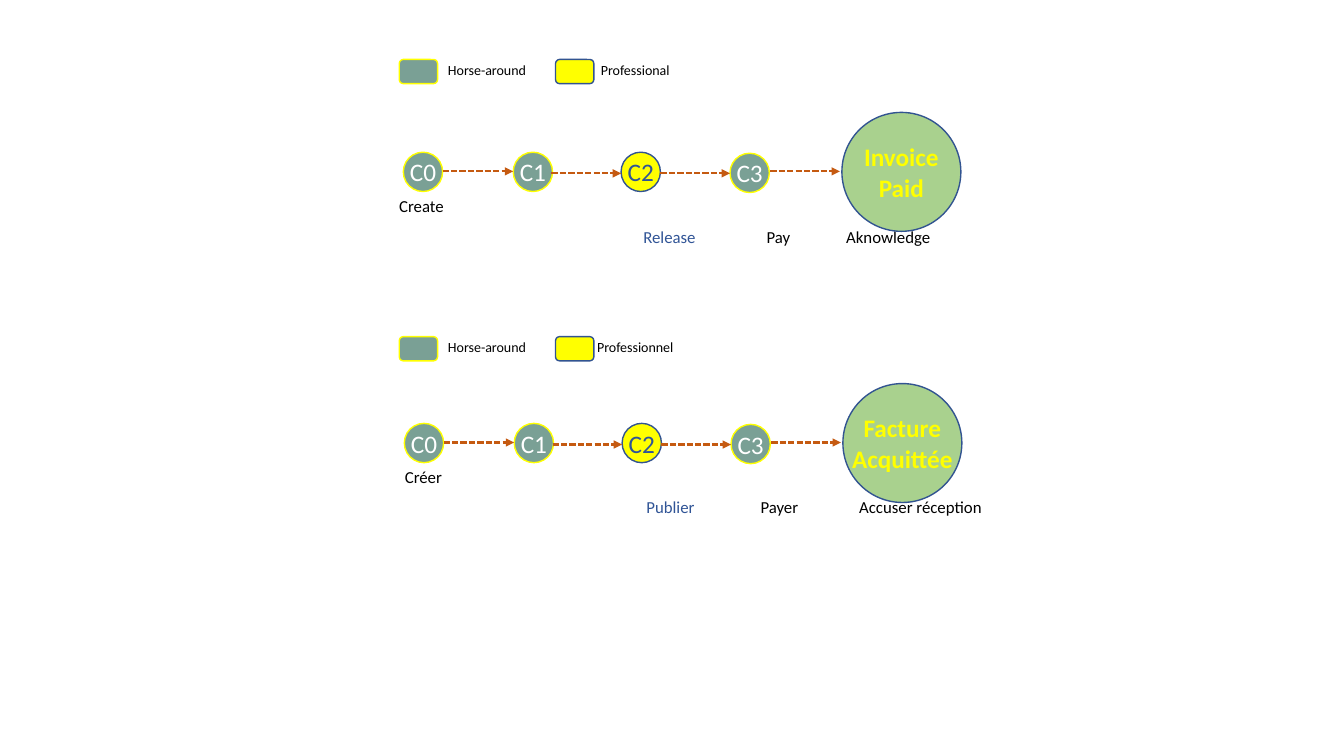
from typing import NamedTuple

from lxml import etree
from pptx import Presentation
from pptx import util as u
from pptx.dml.color import RGBColor
from pptx.enum import dml, shapes, text
from pptx.oxml.ns import qn

SAGE, YELLOW, GREEN = "7AA095", "FFFF00", "A9D18E"
NAVY, BLUE, RUST = "325491", "305496", "C55A11"
WHITE, BLACK = "FFFFFF", "000000"
OVAL = shapes.MSO_SHAPE.FLOWCHART_CONNECTOR
ROUND = shapes.MSO_SHAPE.ROUNDED_RECTANGLE
DOT, GOAL = 0.39, 1.18


class Step(NamedTuple):
    name: str
    dx: float
    dy: float
    fill: str
    line: str
    ink: str


class Label(NamedTuple):
    words: str
    mid: float
    top: float
    ink: str = BLACK


class Flow(NamedTuple):
    left: float
    top: float
    key: float
    kinds: tuple[str, str]
    labels: list[Label]
    goal: str


STEPS = [
    Step("C0", 0, 0, SAGE, YELLOW, WHITE),
    Step("C1", 1.09, 0, SAGE, YELLOW, WHITE),
    Step("C2", 2.16, 0, YELLOW, NAVY, BLUE),
    Step("C3", 3.24, 0.01, SAGE, YELLOW, WHITE),
]
# Arrow start, end and height, measured from the first step
ARROWS = [(0.39, 1.09, 0.19), (1.47, 2.16, 0.21),
          (2.55, 3.24, 0.21), (3.64, 4.33, 0.19)]

FLOWS = [
    Flow(4, 1.51, 0.59, ("Horse-around", "Professional"),
         [Label("Create", 4.18, 1.89), Label("Release", 6.64, 2.2, BLUE),
          Label("Pay", 7.72, 2.2), Label("Aknowledge", 8.81, 2.2)],
         "Invoice\nPaid"),
    Flow(4.01, 4.2, 3.34, ("Horse-around", "Professionnel"),
         [Label("Créer", 4.2, 4.58), Label("Publier", 6.65, 4.88, BLUE),
          Label("Payer", 7.73, 4.88), Label("Accuser réception", 9.13, 4.88)],
         "Facture\nAcquittée"),
]

deck = Presentation()
deck.slide_width, deck.slide_height = u.Inches(13.33), u.Inches(7.5)
slide = deck.slides.add_slide(deck.slide_layouts[6])


def rgb(code: str) -> RGBColor:
    return RGBColor.from_string(code)


def write(frame, words: str, size: float = 12, ink: str = BLACK,
          bold: bool = False) -> None:
    frame.text = words
    for para in frame.paragraphs:
        para.alignment = text.PP_ALIGN.CENTER
        for run in para.runs:
            font = run.font
            font.name, font.size, font.bold = "Calibri", u.Pt(size), bold
            font.color.rgb = rgb(ink)


def note(words: str, mid: float, top: float, wide: float, high: float,
         **form) -> None:
    box = slide.shapes.add_textbox(u.Inches(mid - wide / 2), u.Inches(top),
                                   u.Inches(wide), u.Inches(high))
    box.text_frame.word_wrap = True
    write(box.text_frame, words, **form)


def shape(kind, left: float, top: float, wide: float, high: float,
          fill: str, line: str, words: str = "", **form) -> None:
    item = slide.shapes.add_shape(kind, u.Inches(left), u.Inches(top),
                                  u.Inches(wide), u.Inches(high))
    item.shadow.inherit = False
    item.fill.solid()
    item.fill.fore_color.rgb = rgb(fill)
    item.line.color.rgb = rgb(line)
    item.line.width = u.Pt(1)
    if words:
        frame = item.text_frame
        frame.margin_left = frame.margin_right = 0
        frame.margin_top = frame.margin_bottom = 0
        frame.word_wrap = False
        frame.vertical_anchor = text.MSO_ANCHOR.MIDDLE
        write(frame, words, size=18, **form)


def arrow(start: float, end: float, y: float) -> None:
    item = slide.shapes.add_connector(
        shapes.MSO_CONNECTOR.STRAIGHT,
        u.Inches(start), u.Inches(y), u.Inches(end), u.Inches(y))
    item.line.color.rgb = rgb(RUST)
    item.line.width = u.Pt(1.5)
    item.line.dash_style = dml.MSO_LINE.SQUARE_DOT
    etree.SubElement(item.line._get_or_add_ln(), qn("a:tailEnd"),
                     type="triangle")
    etree.SubElement(item._element.spPr, qn("a:effectLst"))


def draw(flow: Flow) -> None:
    # Legend
    keys = [(3.96, 4.83, SAGE, YELLOW), (5.51, 6.3, YELLOW, NAVY)]
    for kind, (left, mid, fill, line) in zip(flow.kinds, keys):
        shape(ROUND, left, flow.key, 0.38, 0.24, fill, line)
        note(kind, mid, flow.key - 0.03, 0.99, 0.27, size=10)
    # Step names, partly under the goal
    for label in flow.labels:
        note(label.words, label.mid, label.top, 1.68, 0.3, ink=label.ink)
    # Steps and goal
    for step in STEPS:
        shape(OVAL, flow.left + step.dx, flow.top + step.dy, DOT, DOT,
              step.fill, step.line, step.name, ink=step.ink)
    shape(OVAL, flow.left + 4.35, flow.top + (DOT - GOAL) / 2, GOAL, GOAL,
          GREEN, NAVY, flow.goal, ink=YELLOW, bold=True)
    # Arrows
    for start, end, dy in ARROWS:
        arrow(flow.left + start, flow.left + end, flow.top + dy)


for flow in FLOWS:
    draw(flow)

deck.save("out.pptx")
